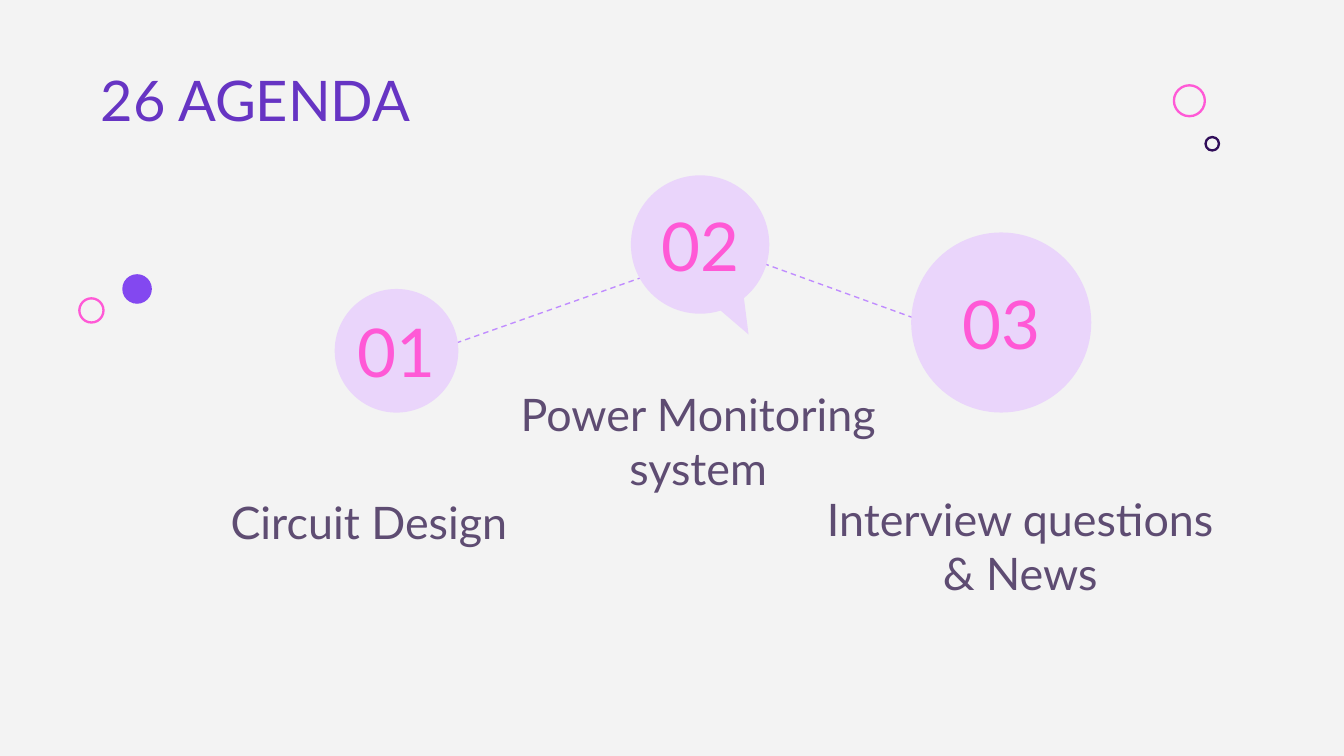
from lxml import etree
from pptx import Presentation
from pptx.dml.color import RGBColor
from pptx.enum import dml, shapes, text
from pptx.oxml import ns
from pptx.util import Inches, Pt

COLORS = {
    "background": "F3F3F3",
    "title": "6634C3",
    "caption": "5E4C72",
    "pink": "FF59D6",
    "navy": "300D59",
    "violet": "8348F0",
    "lilac": "EAD5FB",
    "link": "C08CFF",
}
OVAL = shapes.MSO_SHAPE.OVAL
CALLOUT = shapes.MSO_SHAPE.OVAL_CALLOUT

# number, outline, circle centre and diameter, caption, caption box, placeholder index
STEPS = [
    ("01", OVAL, (2.95, 2.61), 0.92, "Circuit Design", (1.61, 3.25, 2.27, 0.93), 1),
    ("02", CALLOUT, (5.21, 1.82), 1.03, "Power Monitoring system", (3.68, 3.07, 3.03, 0.71), 2),
    ("03", OVAL, (7.45, 2.4), 1.34, "Interview questions & News", (6.04, 3.6, 3.1, 0.96), 3),
]
LINKS = [((5.21, 1.79), (7.39, 2.58)), ((2.92, 2.72), (5.24, 1.9))]
# centre, diameter, colour, outline width (None means filled)
DOTS = [
    ((8.85, 0.75), 0.23, "pink", 1.25),
    ((9.02, 1.07), 0.1, "navy", 1.25),
    ((1.02, 2.15), 0.22, "violet", None),
    ((0.68, 2.31), 0.18, "pink", 1.25),
]


def rgb(name):
    return RGBColor.from_string(COLORS[name])


def write(shape, content, size, color, align=text.PP_ALIGN.CENTER,
          anchor=text.MSO_ANCHOR.MIDDLE, inset=0.1, wrap=True):
    frame = shape.text_frame
    frame.text = content
    frame.auto_size = text.MSO_AUTO_SIZE.NONE
    frame.word_wrap = wrap
    frame.vertical_anchor = anchor
    frame.margin_left = frame.margin_right = Inches(inset)
    frame.margin_top = frame.margin_bottom = Inches(inset)
    paragraph = frame.paragraphs[0]
    paragraph.alignment = align
    paragraph.space_before = Pt(0)
    font = paragraph.runs[0].font
    font.name, font.size, font.bold = "Lato", Pt(size), False
    font.color.rgb = rgb(color)


def place(shape, box):
    shape.left, shape.top, shape.width, shape.height = map(Inches, box)


def remove_bullet(shape):
    properties = shape.text_frame.paragraphs[0]._p.get_or_add_pPr()
    properties.set("marL", "0")
    properties.set("indent", "0")
    etree.SubElement(properties, ns.qn("a:buNone"))


def add_circle(slide, center, diameter, color, outline=None, kind=OVAL):
    """Add a round shape, filled or, given an outline width, hollow."""
    left, top = (value - diameter / 2 for value in center)
    shape = slide.shapes.add_shape(
        kind, Inches(left), Inches(top), Inches(diameter), Inches(diameter))
    shape.shadow.inherit = False
    if outline:
        shape.fill.background()
        shape.line.color.rgb = rgb(color)
        shape.line.width = Pt(outline)
    else:
        shape.fill.solid()
        shape.fill.fore_color.rgb = rgb(color)
        shape.line.fill.background()
    return shape


def add_link(slide, start, end):
    link = slide.shapes.add_connector(
        shapes.MSO_CONNECTOR.STRAIGHT, *map(Inches, start + end))
    link.line.color.rgb = rgb("link")
    link.line.width = Pt(0.75)
    link.line.dash_style = dml.MSO_LINE.DASH
    etree.SubElement(link._element.spPr, ns.qn("a:effectLst"))


def add_title(slide, content, box):
    title = slide.shapes.title
    place(title, box)
    write(title, content, 30, "title", align=text.PP_ALIGN.LEFT,
          anchor=text.MSO_ANCHOR.TOP)


def add_step(slide, number, kind, center, diameter, caption, box, index):
    """Add one numbered circle and the caption below it."""
    circle = add_circle(slide, center, diameter, "lilac", kind=kind)
    if kind == CALLOUT:
        circle.adjustments[0], circle.adjustments[1] = 0.35, 0.65
    write(circle, number, 36, "pink", inset=0, wrap=False)
    body = slide.placeholders[index]
    place(body, box)
    write(body, caption, 24, "caption", anchor=text.MSO_ANCHOR.BOTTOM)
    remove_bullet(body)


def main():
    presentation = Presentation()
    presentation.slide_width = Inches(10)
    presentation.slide_height = Inches(10 * 9 / 16)
    comparison = presentation.slide_layouts.get_by_name("Comparison")
    slide = presentation.slides.add_slide(comparison)
    slide.background.fill.solid()
    slide.background.fill.fore_color.rgb = rgb("background")

    for dot in DOTS:
        add_circle(slide, *dot)
    for link in LINKS:
        add_link(slide, *link)
    add_title(slide, "26 AGENDA", (0.65, 0.39, 7.36, 0.71))
    for step in STEPS:
        add_step(slide, *step)

    unused = slide.placeholders[4]._element
    unused.getparent().remove(unused)
    presentation.save("out.pptx")


if __name__ == "__main__":
    main()
